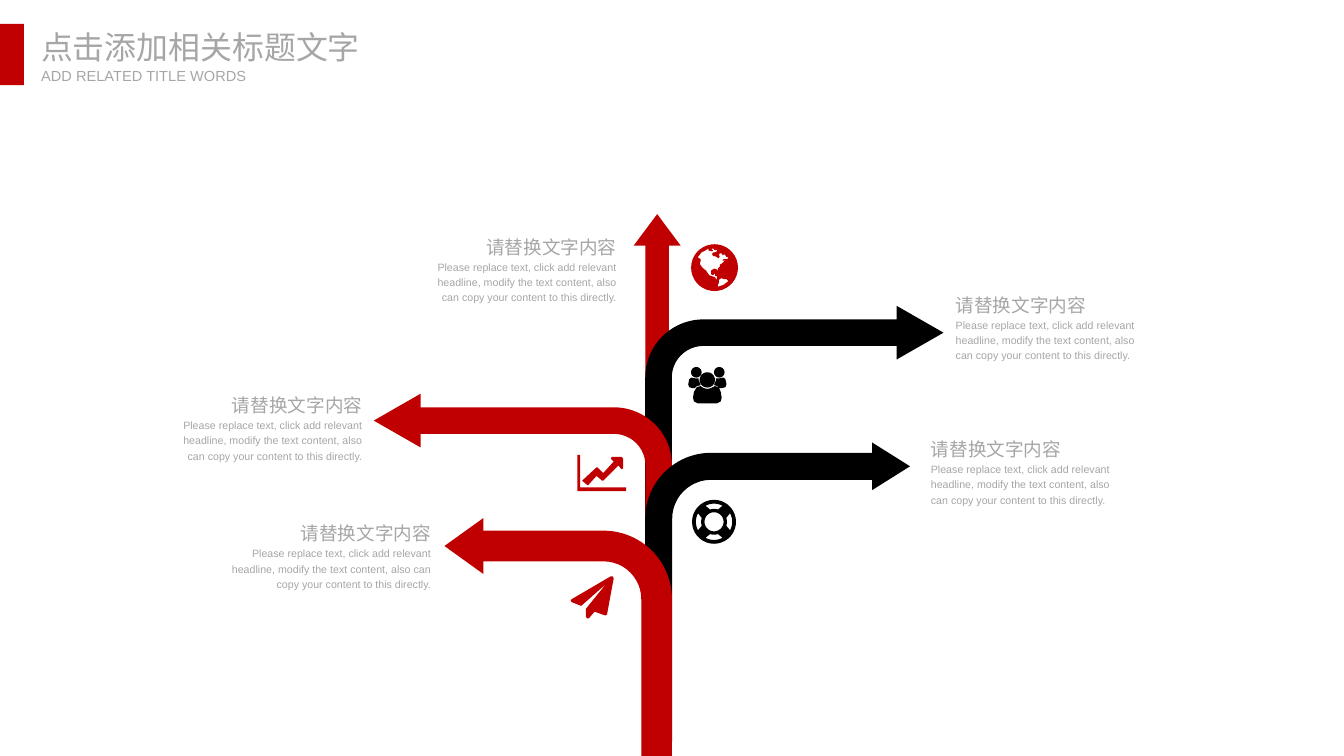
import math

from lxml import etree
from pptx import Presentation
from pptx import util as u
from pptx.dml.color import RGBColor
from pptx.enum import shapes, text
from pptx.oxml.ns import qn

PX = 9144  # EMU per px, 100 px to the inch
COLORS = {"red": "C00000", "black": "000000", "grey": "A6A6A6"}
LATIN, CJK = "Arial", "Noto Sans CJK SC"
HEADING = "请替换文字内容"
BODY = ("Please replace text, click add relevant headline, modify the text "
        "content, also can copy your content to this directly.")

# Outlines of the icons, in px
PLANE = [(642, 605), (635, 643), (633, 644), (622, 640), (616, 647), (614, 647),
         (613, 645), (613, 637), (634, 611), (608, 634), (598, 630), (597, 628),
         (598, 627), (639, 603), (641, 603)]
AXES = [(655, 514), (604, 514), (604, 476), (607, 476), (607, 510), (655, 510)]
TREND = [(652, 490), (650, 491), (647, 487), (631, 503), (630, 503), (624, 498),
         (615, 508), (609, 503), (624, 489), (625, 489), (631, 495), (642, 483),
         (639, 480), (640, 478), (650, 478), (652, 480)]
NORTH = [(756, 273), (757, 271), (761, 271), (762, 269), (760, 269), (758, 266),
         (756, 267), (755, 265), (753, 265), (752, 267), (753, 268), (752, 270),
         (751, 270), (750, 269), (748, 268), (746, 268), (745, 266), (746, 264),
         (748, 264), (750, 263), (750, 261), (748, 262), (746, 260), (744, 260),
         (746, 262), (745, 263), (741, 262), (741, 260), (738, 262), (734, 264),
         (730, 269), (731, 270), (733, 271), (733, 273), (732, 276), (734, 279),
         (736, 281), (738, 284), (737, 281), (740, 285), (742, 288), (745, 289),
         (748, 290), (749, 292), (752, 293), (750, 292), (750, 289), (748, 289),
         (748, 286), (746, 288), (744, 287), (744, 283), (747, 281), (750, 282),
         (751, 284), (751, 281), (753, 279), (753, 277), (756, 275), (758, 273),
         (758, 272)]
SOUTH = [(762, 294), (760, 292), (757, 292), (755, 291), (753, 292), (752, 293),
         (752, 296), (751, 298), (751, 300), (757, 298)]
FRONT_BODY = [(725, 416), (726, 410), (729, 405), (733, 404), (736, 406),
              (740, 407), (744, 406), (748, 404), (752, 405), (754, 410),
              (755, 416), (754, 420), (750, 422), (730, 422), (726, 420)]
SIDE_BODY = [(724, 406), (721, 405), (720, 402), (721, 397), (723, 395),
             (728, 396), (731, 396), (731, 398), (733, 403), (729, 404),
             (727, 406)]


def rgb(name):
    return RGBColor.from_string(COLORS[name])


def box(*lengths):
    return [u.Emu(v * PX) for v in lengths]


def paint(sp, color):
    sp.shadow.inherit = False
    sp.fill.solid()
    sp.fill.fore_color.rgb = rgb(color)
    sp.line.fill.background()


def add_preset(slide, kind, color, bounds, adjustments=(), flip=False):
    sp = slide.shapes.add_shape(kind, *box(*bounds))
    for i, value in enumerate(adjustments):
        sp.adjustments[i] = value
    if flip:
        sp._element.spPr.xfrm.set("flipH", "1")
    paint(sp, color)


def add_icon(slide, color, *contours):
    start, builder = None, None
    for contour in contours:
        points = [(x * PX, y * PX) for x, y in contour]
        start = points[0]
        if builder is None:
            builder = slide.shapes.build_freeform(*start)
        else:
            builder.move_to(*start)
        builder.add_line_segments(points[1:], close=True)
    paint(builder.convert_to_shape(), color)


def arc(cx, cy, radius, first=0, last=350, steps=36):
    angles = [math.radians(first + (last - first) * i / (steps - 1))
              for i in range(steps)]
    return [(cx + radius * math.cos(a), cy + radius * math.sin(a)) for a in angles]


def ring_window(cx, cy, middle):
    outer = arc(cx, cy, 19, middle - 28, middle + 28, 10)
    inner = arc(cx, cy, 13.5, middle + 18, middle - 18, 10)
    return outer + inner


def format_paragraph(p, size, font=LATIN):
    p.font.size = u.Pt(size)
    p.font.name = font
    p.font.color.rgb = rgb("grey")
    props = p._p.pPr.find(qn("a:defRPr"))
    etree.SubElement(props, qn("a:ea")).set("typeface", CJK)


def add_caption(slide, bounds, align):
    tf = slide.shapes.add_textbox(*box(*bounds)).text_frame
    tf.word_wrap = True
    tf.text = HEADING
    tf.add_paragraph().text = BODY
    for p, size in zip(tf.paragraphs, (14, 8)):
        p.alignment = align
        p.line_spacing = 1.2
        format_paragraph(p, size)


def format_header(sp, bounds, wording, size, font):
    sp.left, sp.top, sp.width, sp.height = box(*bounds)
    tf = sp.text_frame
    tf.margin_left = tf.margin_top = tf.margin_right = tf.margin_bottom = 0
    tf.word_wrap = False
    tf.auto_size = text.MSO_AUTO_SIZE.NONE
    tf.vertical_anchor = text.MSO_ANCHOR.MIDDLE
    tf.text = wording
    p = tf.paragraphs[0]
    p.alignment = text.PP_ALIGN.LEFT
    format_paragraph(p, size, font)


def main():
    prs = Presentation()
    prs.slide_width, prs.slide_height = box(1406, 791)
    slide = prs.slides.add_slide(prs.slide_layouts[5])
    kinds = shapes.MSO_SHAPE

    # Header
    add_preset(slide, kinds.RECTANGLE, "red", (0, 25, 25, 64))
    format_header(slide.shapes.title, (43, 29, 337, 40),
                  "点击添加相关标题文字", 24, CJK)
    format_header(slide.shapes.add_textbox(0, 0, 0, 0), (43, 70, 218, 19),
                  "ADD RELATED TITLE WORDS", 11, LATIN)

    # Tree of arrows, from back to front
    add_preset(slide, kinds.UP_ARROW, "red", (663, 224, 49, 551), (0.5, 0.671))
    branches = [
        ("black", (675, 320, 312, 455), (0.089, 0.09, 0.157, 0.195), False),
        ("red", (391, 412, 312, 364), (0.089, 0.09, 0.157, 0.195), True),
        ("black", (675, 463, 277, 313), (0.102, 0.09, 0.143, 0.249), False),
        ("red", (465, 542, 238, 249), (0.135, 0.123, 0.171, 0.301), True),
    ]
    for color, bounds, adjustments, flip in branches:
        add_preset(slide, kinds.BENT_ARROW, color, bounds, adjustments, flip)

    # Captions
    left, right = text.PP_ALIGN.LEFT, text.PP_ALIGN.RIGHT
    for bounds, align in [((428, 237, 227, 87), right),
                          ((990, 298, 227, 85), left),
                          ((162, 403, 227, 87), right),
                          ((964, 449, 227, 87), left),
                          ((231, 537, 230, 87), right)]:
        add_caption(slide, bounds, align)

    # Icons: globe, people, chart, lifebuoy, paper plane
    add_icon(slide, "red", arc(747.5, 280, 24.5), NORTH, SOUTH)
    mirrored_body = [(1480 - x, y) for x, y in SIDE_BODY]
    add_icon(slide, "black", arc(740, 397.5, 8), arc(728.5, 389.5, 5.5),
             arc(752.5, 389.5, 5.5), FRONT_BODY, SIDE_BODY, mirrored_body)
    add_icon(slide, "red", AXES, TREND)
    add_icon(slide, "black", arc(747, 546, 23), arc(747, 546, 10),
             *[ring_window(747, 546, angle) for angle in range(0, 360, 90)])
    add_icon(slide, "red", PLANE)

    prs.save("out.pptx")


if __name__ == "__main__":
    main()
